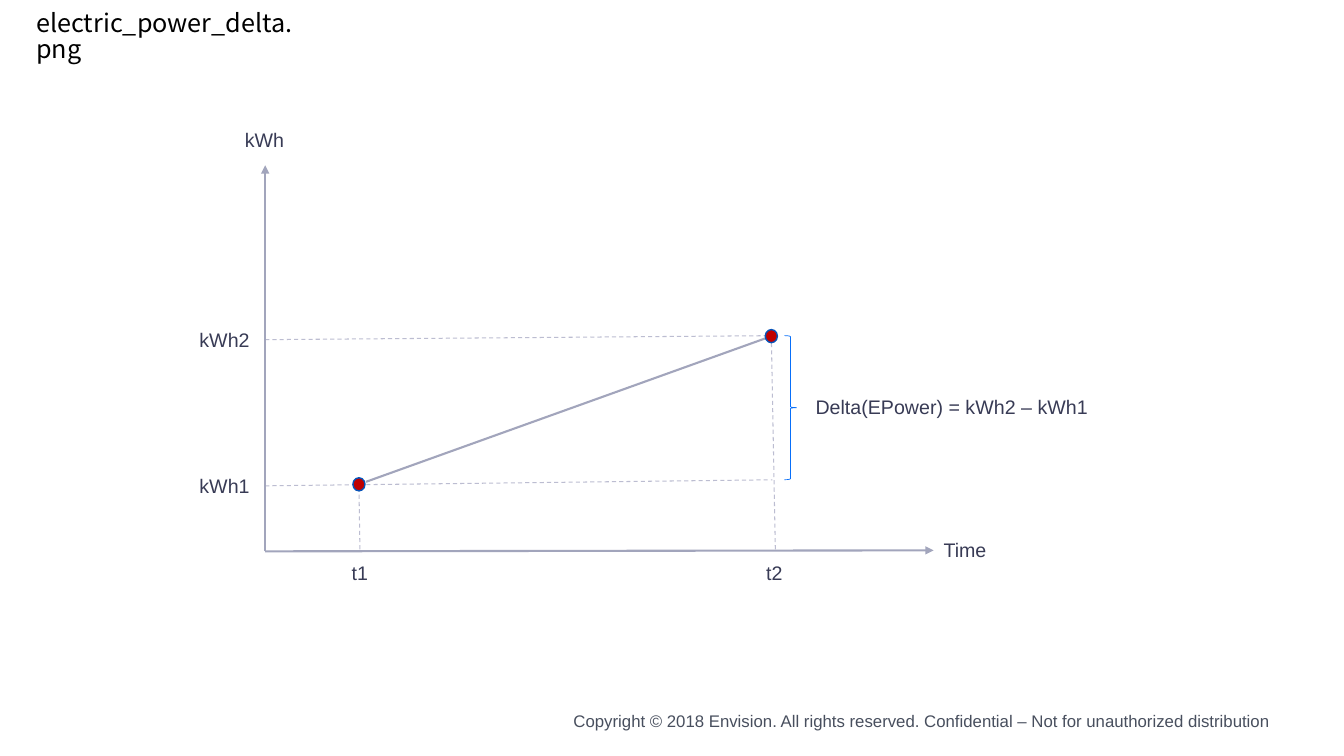
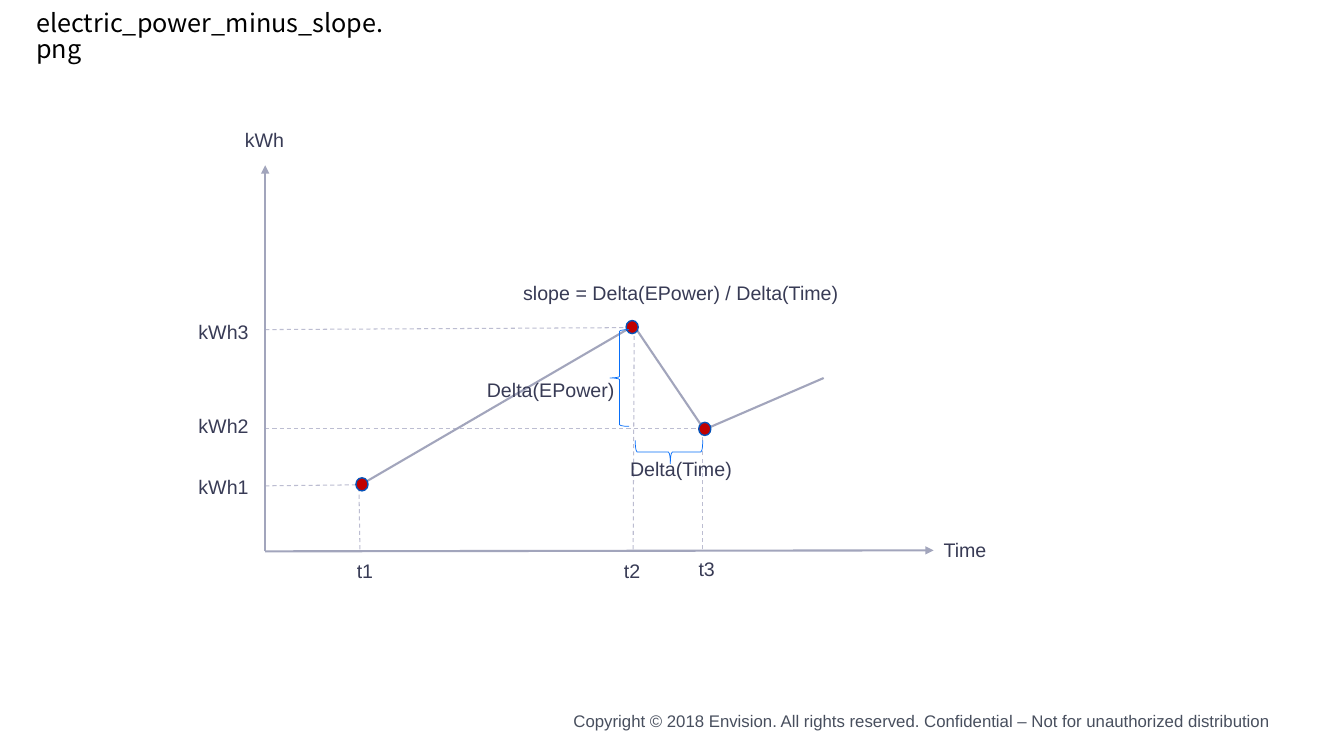
from lxml import etree
from pptx import Presentation
from pptx.dml.color import RGBColor
from pptx.enum.dml import MSO_LINE
from pptx.enum.shapes import MSO_CONNECTOR, MSO_SHAPE as SHAPE
from pptx.enum.text import MSO_ANCHOR, MSO_AUTO_SIZE, PP_ALIGN
from pptx.oxml.ns import qn
from pptx.util import Inches, Pt

BLACK = RGBColor(0x00, 0x00, 0x00)
FOOTER_GREY = RGBColor(0x48, 0x4F, 0x5E)
LABEL_INK = RGBColor(0x38, 0x3B, 0x55)
AXIS_GREY = RGBColor(0xA2, 0xA5, 0xBC)
GUIDE_GREY = RGBColor(0xBC, 0xBD, 0xD1)
POINT_RED = RGBColor(0xC0, 0x00, 0x00)
POINT_EDGE = RGBColor(0x06, 0x52, 0xB8)
BRACE_BLUE = RGBColor(0x08, 0x6F, 0xF9)

TITLE_FONT = {"name": "Noto Sans CJK SC", "size": Pt(18), "bold": False}
FOOTER_FONT = {"name": "Arial", "size": Pt(12)}
LABEL_FONT = {"name": "Arial", "size": Pt(14)}
SOLID = {"width": Pt(1.5)}
DASHED = {"width": Pt(0.75), "dash_style": MSO_LINE.DASH}
FRAME = {"word_wrap": True, "auto_size": MSO_AUTO_SIZE.NONE,
         "vertical_anchor": MSO_ANCHOR.TOP}

FOOTER = ("Copyright © 2018 Envision. All rights reserved. "
          "Confidential – Not for unauthorized distribution")
ORIGIN = (2.63, 5.47)
POINT_W, POINT_H = 0.12, 0.13
LABEL_H = 0.34

CHARTS = [
    {
        "title": ("electric_power_delta.png", 2.89),
        "lines": [((3.63, 4.78), (7.61, 3.35))],
        "guides": [((2.63, 4.82), (7.66, 4.76)), ((2.63, 3.37), (7.66, 3.33)),
                   ((7.69, 5.45), (7.65, 3.33))],
        "points": [(3.5, 4.74), (7.59, 3.27)],
        "braces": [(SHAPE.RIGHT_BRACE, (7.78, 3.33, 0.12, 1.43), 0, 0.5)],
        "labels": [("t1", 3.39, 5.52, 1.13), ("t2", 7.5, 5.52, 1.13),
                   ("kWh1", 1.88, 4.65, 1.13), ("kWh2", 1.88, 3.2, 1.13),
                   ("Delta(EPower) = kWh2 – kWh1", 7.99, 3.87, 3.71)],
    },
    {
        "title": ("electric_power_minus_slope.png", 3.68),
        "lines": [((3.56, 4.82), (6.27, 3.24)), ((6.28, 3.22), (6.99, 4.27)),
                  ((6.99, 4.26), (8.17, 3.75))],
        "guides": [((2.63, 4.82), (3.54, 4.81)), ((2.63, 4.25), (6.99, 4.25)),
                   ((2.63, 3.27), (6.27, 3.25)), ((6.28, 5.45), (6.29, 3.27)),
                   ((6.97, 5.45), (6.97, 4.27))],
        "points": [(3.53, 4.74), (6.21, 3.18), (6.93, 4.19)],
        "braces": [(SHAPE.LEFT_BRACE, (6.05, 3.27, 0.19, 0.96), 0, 0.5),
                   (SHAPE.RIGHT_BRACE, (6.52, 4.15, 0.23, 0.67), 90, 0.48)],
        "labels": [("t1", 3.44, 5.5, 0.68), ("t2", 6.09, 5.5, 0.68),
                   ("t3", 6.83, 5.48, 0.68), ("kWh1", 1.87, 4.66, 1.13),
                   ("kWh2", 1.87, 4.06, 1.13), ("kWh3", 1.87, 3.12, 1.13),
                   ("slope = Delta(EPower) / Delta(Time)", 5.09, 2.74, 3.48),
                   ("Delta(Time)", 6.15, 4.48, 1.68),
                   ("Delta(EPower)", 4.73, 3.7, 1.68)],
    },
]


def set_values(obj, values):
    for name, value in values.items():
        setattr(obj, name, value)


def write(sp, text, font, color, align=PP_ALIGN.LEFT):
    tf = sp.text_frame
    set_values(tf, FRAME)
    p = tf.paragraphs[0]
    p.alignment = align
    r = p.add_run()
    r.text = text
    set_values(r.font, font)
    r.font.color.rgb = color
    return p


def add_text(s, text, box, font, color, align=PP_ALIGN.LEFT):
    sp = s.shapes.add_textbox(*map(Inches, box))
    write(sp, text, font, color, align)
    return sp


def add_line(s, start, end, color, values, arrow=False):
    c = s.shapes.add_connector(MSO_CONNECTOR.STRAIGHT,
                               *map(Inches, (*start, *end)))
    c.line.color.rgb = color
    set_values(c.line, values)
    sp_pr = c.element.spPr
    if arrow:
        tail = etree.SubElement(sp_pr.find(qn("a:ln")), qn("a:tailEnd"))
        tail.set("type", "triangle")
    etree.SubElement(sp_pr, qn("a:effectLst"))


def add_outlined(s, shape, box, color, width):
    sp = s.shapes.add_shape(shape, *map(Inches, box))
    sp.shadow.inherit = False
    sp.line.color.rgb = color
    sp.line.width = Pt(width)
    return sp


def add_point(s, left, top):
    sp = add_outlined(s, SHAPE.OVAL, (left, top, POINT_W, POINT_H),
                      POINT_EDGE, 1)
    sp.fill.solid()
    sp.fill.fore_color.rgb = POINT_RED


def add_brace(s, shape, box, rotation, tip):
    sp = add_outlined(s, shape, box, BRACE_BLUE, 0.5)
    sp.fill.background()
    sp.rotation = rotation
    sp.adjustments[1] = tip


def add_label(s, text, left, top, width):
    add_text(s, text, (left, top, width, LABEL_H), LABEL_FONT, LABEL_INK)


def add_title(s, text, width):
    sp = s.shapes.title
    set_values(sp, {"left": Inches(0.26), "top": Inches(0.07),
                    "width": Inches(width), "height": Inches(0.4)})
    write(sp, text, TITLE_FONT, BLACK).line_spacing = 0.85


def add_axes(s):
    for end in ((9.26, 5.46), (2.63, 1.64)):
        add_line(s, ORIGIN, end, AXIS_GREY, SOLID, arrow=True)
    add_line(s, (3.57, 5.45), (3.56, 4.8), GUIDE_GREY, DASHED)
    add_label(s, "Time", 9.26, 5.29, 1.13)
    add_label(s, "kWh", 2.33, 1.22, 1.13)


def add_layout_footer(layout, s):
    sp = add_text(s, FOOTER, (4.87, 7, 7.83, 0.3), FOOTER_FONT, FOOTER_GREY,
                  PP_ALIGN.RIGHT)
    layout.shapes.element.append(sp.element)


def add_chart_slide(prs, layout, chart):
    s = prs.slides.add_slide(layout)
    add_title(s, *chart["title"])
    for start, end in chart["guides"]:
        add_line(s, start, end, GUIDE_GREY, DASHED)
    for start, end in chart["lines"]:
        add_line(s, start, end, AXIS_GREY, SOLID)
    add_axes(s)
    for add, key in ((add_point, "points"), (add_brace, "braces"),
                     (add_label, "labels")):
        for item in chart[key]:
            add(s, *item)
    return s


def main():
    prs = Presentation()
    prs.slide_width = Inches(13.33)
    prs.slide_height = Inches(7.5)
    layout = prs.slide_layouts[5]
    slides = [add_chart_slide(prs, layout, chart) for chart in CHARTS]
    add_layout_footer(layout, slides[0])
    prs.save("out.pptx")


if __name__ == "__main__":
    main()
